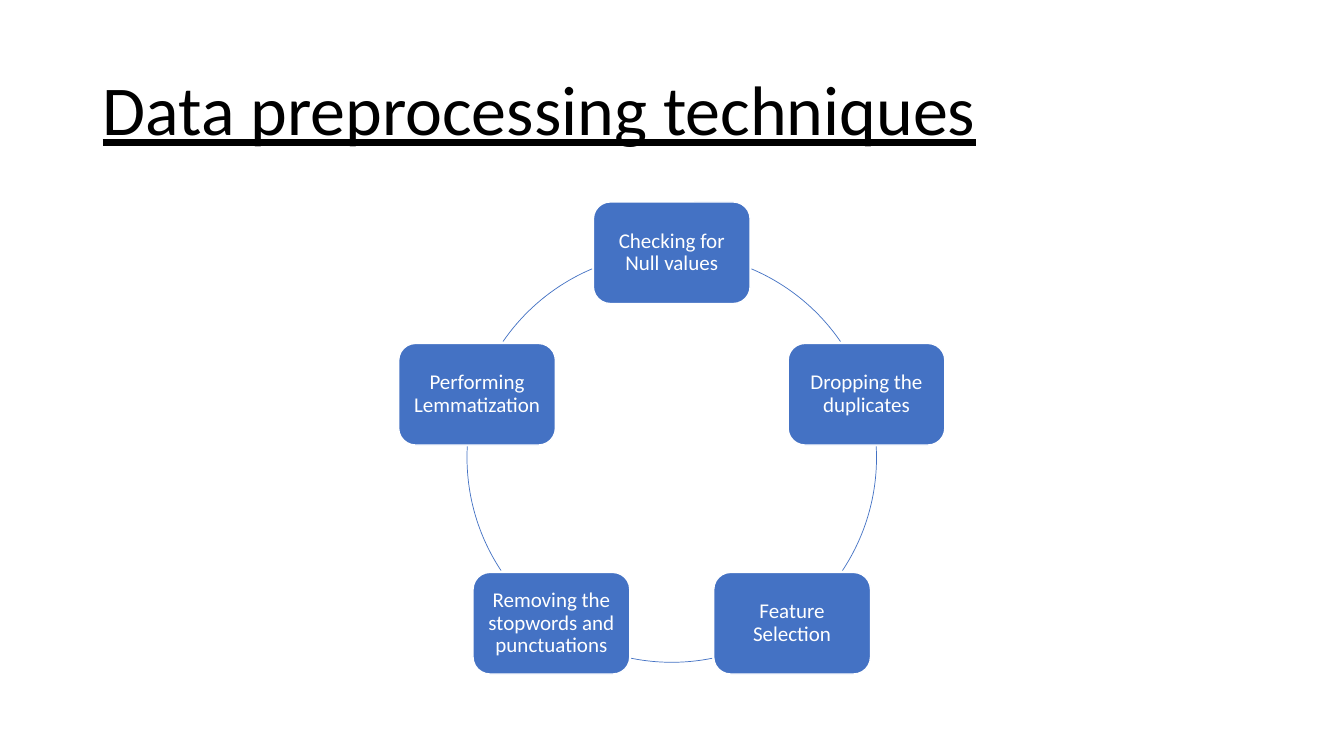
from dataclasses import dataclass
from math import cos, radians, sin

from pptx import Presentation
from pptx import util as u
from pptx.dml.color import RGBColor
from pptx.enum import shapes, text


@dataclass(frozen=True)
class Theme:
    font: str = "Calibri"
    black: RGBColor = RGBColor(0, 0, 0)
    white: RGBColor = RGBColor(255, 255, 255)
    blue: RGBColor = RGBColor(0x44, 0x72, 0xC4)
    title_size: u.Pt = u.Pt(50)
    step_size: u.Pt = u.Pt(15)
    outline: u.Pt = u.Pt(1)
    arc_line: u.Pt = u.Pt(0.5)


THEME = Theme()
CENTRE_X, CENTRE_Y, RADIUS = 16.93, 11.53, 5.16
BOX_W, BOX_H = 3.95, 2.56

STEPS = [
    "Checking for Null values",
    "Dropping the duplicates",
    "Feature Selection",
    "Removing the stopwords and punctuations",
    "Performing Lemmatization",
]
# Visible parts of the ring between boxes, in degrees clockwise from the right
ARCS = [(292.9, 325.5), (356.9, 33.5), (78.6, 101.4), (146.5, 183.1), (214.5, 247.1)]


def style_text(tf, size, color, align):
    tf.word_wrap = True
    tf.vertical_anchor = text.MSO_ANCHOR.MIDDLE
    p = tf.paragraphs[0]
    p.alignment = align
    p.line_spacing = 0.9
    font = p.runs[0].font
    font.name, font.size = THEME.font, size
    font.color.rgb = color
    return font


def add_title(s, words):
    sp = s.shapes.title
    sp.left, sp.top, sp.width, sp.height = u.Cm(2.33), u.Cm(1.01), u.Cm(29.21), u.Cm(3.68)
    tf = sp.text_frame
    tf.text = words
    tf.auto_size = text.MSO_AUTO_SIZE.NONE
    font = style_text(tf, THEME.title_size, THEME.black, text.PP_ALIGN.LEFT)
    font.underline = True


def add_centred(group, kind, x, y, w, h):
    """Add a preset shape around the point x, y, in centimetres."""
    sp = group.shapes.add_shape(kind, u.Cm(x - w / 2), u.Cm(y - h / 2), u.Cm(w), u.Cm(h))
    sp.shadow.inherit = False
    return sp


def add_step(group, words, angle):
    x = CENTRE_X + RADIUS * cos(radians(angle))
    y = CENTRE_Y + RADIUS * sin(radians(angle))
    sp = add_centred(group, shapes.MSO_SHAPE.ROUNDED_RECTANGLE, x, y, BOX_W, BOX_H)
    sp.fill.solid()
    sp.fill.fore_color.rgb = THEME.blue
    sp.line.color.rgb = THEME.white
    sp.line.width = THEME.outline
    tf = sp.text_frame
    tf.text = words
    tf.margin_left = tf.margin_right = tf.margin_top = tf.margin_bottom = u.Cm(0.15)
    style_text(tf, THEME.step_size, THEME.white, text.PP_ALIGN.CENTER)


def add_arc(group, start, end):
    sp = add_centred(group, shapes.MSO_SHAPE.ARC, CENTRE_X, CENTRE_Y, 2 * RADIUS, 2 * RADIUS)
    # One degree is 60000 file units; an adjustment of 1.0 is 100000
    sp.adjustments[0], sp.adjustments[1] = start * 0.6, end * 0.6
    sp.fill.background()
    sp.line.color.rgb = THEME.blue
    sp.line.width = THEME.arc_line


def add_cycle(s):
    group = s.shapes.add_group_shape()
    for i, (words, arc) in enumerate(zip(STEPS, ARCS)):
        add_step(group, words, -90 + i * 360 / len(STEPS))
        add_arc(group, *arc)


def main():
    prs = Presentation()
    prs.slide_width, prs.slide_height = u.Cm(33.87), u.Cm(19.05)
    s = prs.slides.add_slide(prs.slide_layouts.get_by_name("Title Only"))
    add_title(s, "Data preprocessing techniques")
    add_cycle(s)
    prs.save("out.pptx")


if __name__ == "__main__":
    main()
